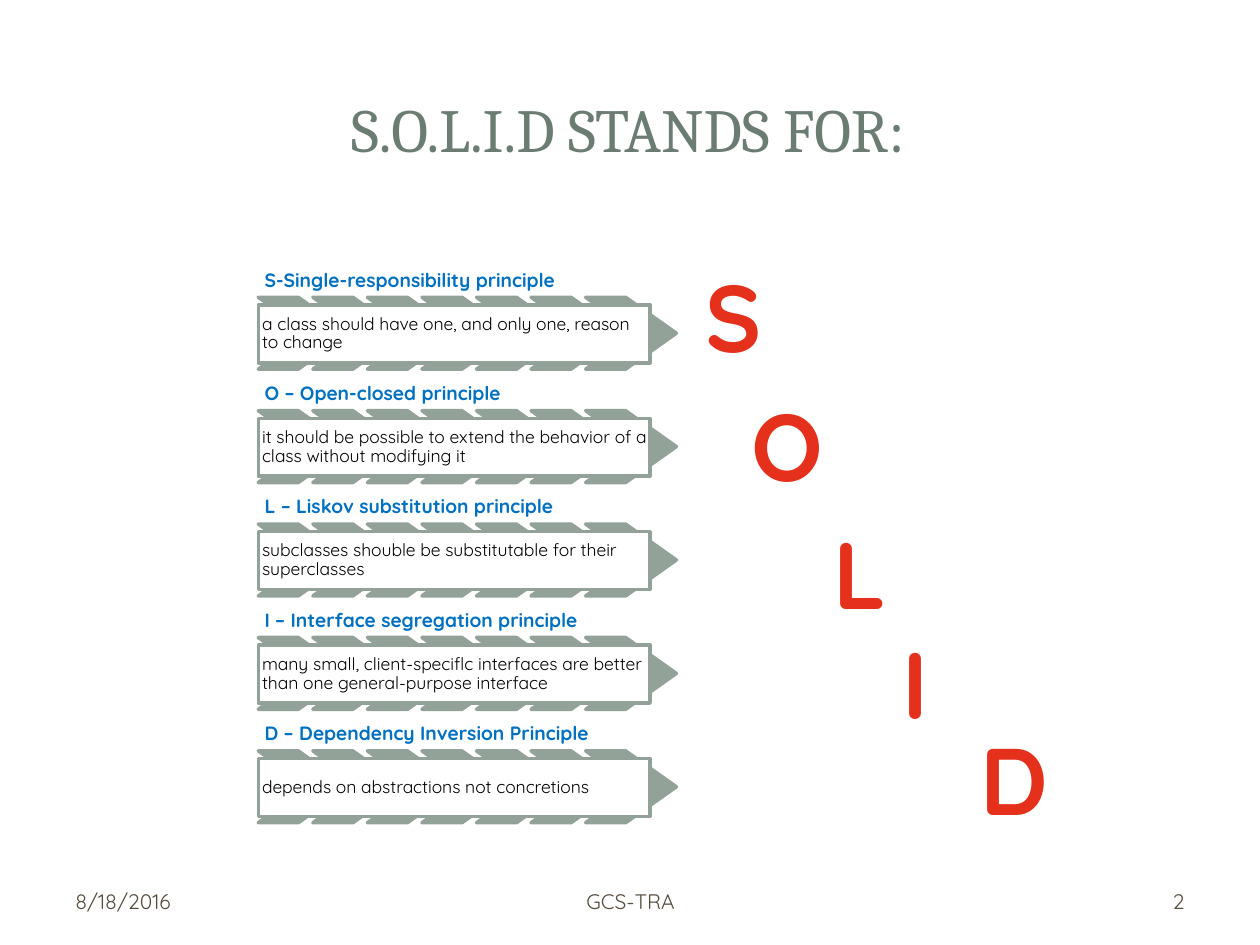
"""Build a slide that spells out the five SOLID principles."""
from pptx import Presentation
from pptx import util as u
from pptx.dml.color import RGBColor
from pptx.enum import shapes, text

WHITE = RGBColor(0xFF, 0xFF, 0xFF)
BLACK = RGBColor(0, 0, 0)
SAGE = RGBColor(0x93, 0xA2, 0x99)
MOSS = RGBColor(0x6B, 0x7D, 0x72)
BLUE = RGBColor(0x00, 0x70, 0xC0)
RED = RGBColor(0xE5, 0x30, 0x1B)
BROWN = RGBColor(0x56, 0x4B, 0x3C)

LEFT, MID, RIGHT = text.PP_ALIGN.LEFT, text.PP_ALIGN.CENTER, text.PP_ALIGN.RIGHT
TOP, CENTRE, BASE = (text.MSO_ANCHOR.TOP, text.MSO_ANCHOR.MIDDLE,
                     text.MSO_ANCHOR.BOTTOM)


class Deck:
    body, head = "Quicksand", "Cambria"
    cols, rows = 100, 75

    def __init__(self):
        self.prs = Presentation()
        self.prs.slide_width, self.prs.slide_height = u.Inches(10), u.Inches(7.5)
        self.slide = self.prs.slides.add_slide(self.prs.slide_layouts[6])

    def place(self, col, row, wide, high):
        x, y = self.prs.slide_width / self.cols, self.prs.slide_height / self.rows
        return int(col * x), int(row * y), int(wide * x), int(high * y)

    def fill_text(self, shape, words, size, color, align=LEFT, anchor=CENTRE,
                  font=body, bold=False, inset=None, space=None, wrap=True):
        frame = shape.text_frame
        frame.text = words
        frame.word_wrap = wrap
        frame.vertical_anchor = anchor
        if inset is not None:
            frame.margin_left = frame.margin_right = u.Inches(inset)
            frame.margin_top = frame.margin_bottom = u.Inches(inset)
        para = frame.paragraphs[0]
        para.alignment = align
        if space:
            para.line_spacing = space
        face = para.runs[0].font
        face.name, face.size, face.bold = font, u.Pt(size), bold
        face.color.rgb = color

    def label(self, spot, words, size, color, **style):
        box = self.slide.shapes.add_textbox(*self.place(*spot))
        self.fill_text(box, words, size, color, **style)

    def shape(self, kind, spot, fill):
        item = self.slide.shapes.add_shape(kind, *self.place(*spot))
        item.shadow.inherit = False
        item.fill.solid()
        item.fill.fore_color.rgb = fill
        item.line.color.rgb = SAGE
        item.line.width = u.Pt(2)
        return item

    def arrows(self, col, row, count=7, step=4.33):
        for i in range(count):
            spot = (col + i * step, row, 7.2, 5.7)
            item = self.shape(shapes.MSO_SHAPE.CHEVRON, spot, SAGE)
            item.adjustments[0] = 0.706

    def rule(self, col, row, name, words):
        self.label((col, row, 30.7, 2.8), name, 11, BLUE, bold=True,
                   anchor=BASE, inset=0.05, space=0.9)
        self.arrows(col, row + 2.8)
        card = self.shape(shapes.MSO_SHAPE.RECTANGLE,
                          (col, row + 3.4, 31.1, 4.6), WHITE)
        self.fill_text(card, words, 10, BLACK, inset=0.03, space=0.9)


RULES = [
    ("S-Single-responsibility principle",
     "a class should have one, and only one, reason to change"),
    ("O\u00a0– Open-closed principle",
     "it should be possible to extend the behavior of a class without modifying it"),
    ("L\u00a0– Liskov substitution principle",
     "subclasses shouble be substitutable for their superclasses"),
    ("I\u00a0– Interface segregation principle",
     "many small, client-speciflc interfaces are better than one "
     "general-purpose interface"),
    ("D\u00a0– Dependency Inversion Principle",
     "depends on abstractions not concretions"),
]
LETTERS = [("S", 55, 20, 6), ("O", 58.3, 30.2, 8.4), ("L", 65.2, 40.4, 5.4),
           ("I", 70.6, 49.1, 4.1), ("D", 76.8, 56.7, 7.3)]
FOOT = [("8/18/2016", 5, 23.3, LEFT), ("GCS-TRA", 34.2, 31.7, MID),
        ("2", 71.7, 23.3, RIGHT)]

deck = Deck()
deck.label((4.7, 4.5, 90.3, 11.4), "S.O.L.I.D STANDS FOR:", 35, MOSS,
           align=MID, font=deck.head)
for i, (name, words) in enumerate(RULES):
    deck.rule(20.5, 20.8 + 9 * i, name, words)
for mark, col, row, wide in LETTERS:
    deck.label((col, row, wide, 10.1), mark, 54, RED, align=MID, anchor=TOP,
               bold=True, wrap=False)
for words, col, wide, align in FOOT:
    deck.label((col, 69.5, wide, 4), words, 12, BROWN, align=align)
deck.prs.save("out.pptx")
